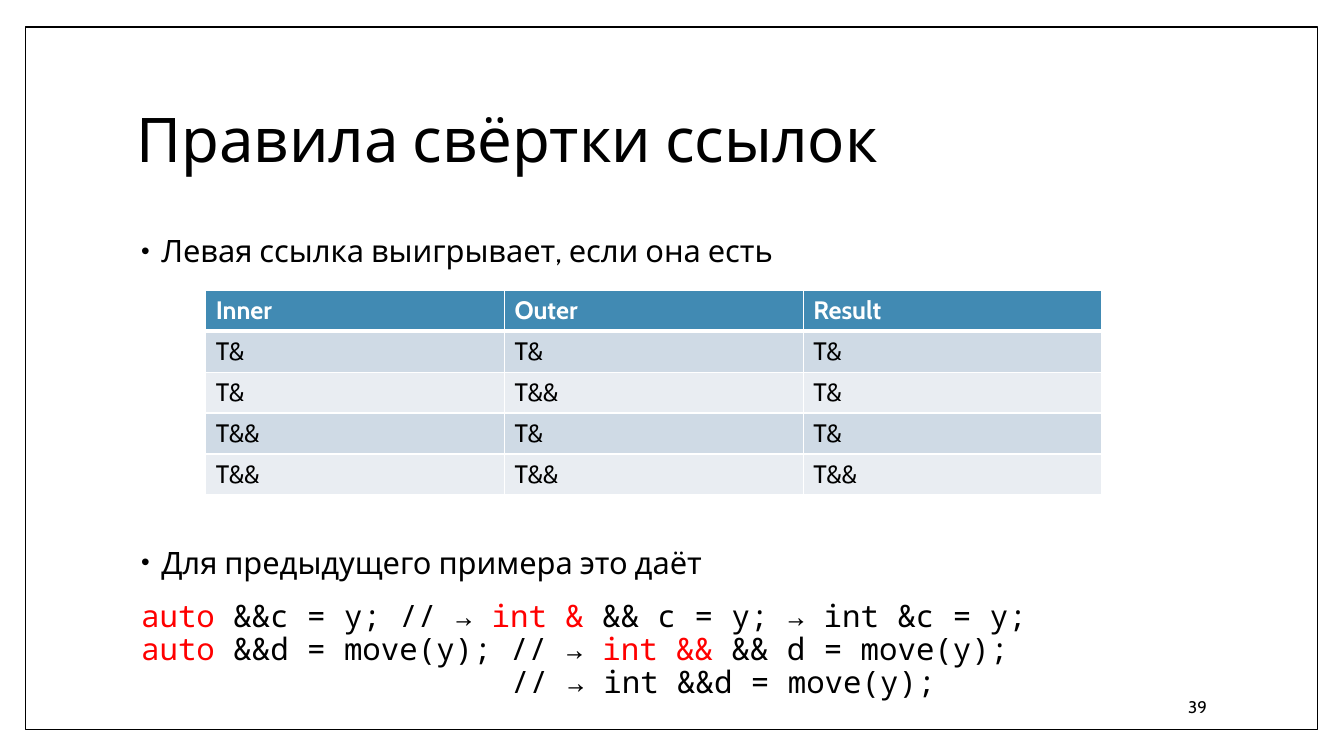
from dataclasses import dataclass

from lxml.etree import SubElement
from pptx import Presentation
from pptx.dml.color import RGBColor
from pptx.enum.shapes import MSO_SHAPE as SHAPE
from pptx.enum.text import MSO_ANCHOR as ANCHOR, MSO_AUTO_SIZE as AUTO, PP_ALIGN as ALIGN
from pptx.oxml.ns import qn
from pptx.util import Inches, Pt


@dataclass(frozen=True)
class Theme:
    font: str = "Cabin"
    mono: str = "Noto Sans Mono"
    black: str = "000000"
    white: str = "FFFFFF"
    accent: str = "FF0000"
    header: str = "418AB3"
    bands: tuple = ("CFDAE5", "E9EDF2")
    title: int = 44
    body: int = 22
    cell: int = 18
    small: int = 12
    leading: float = 0.9
    gap: int = 14


class Deck:
    def __init__(self, theme):
        self.t = theme
        self.prs = Presentation()
        self.prs.slide_width, self.prs.slide_height = Inches(13.33), Inches(7.5)
        self.s = self.prs.slides.add_slide(self.prs.slide_layouts[1])

    def run(self, p, text, size, color=None, font=None, bold=False):
        r = p.add_run()
        r.text = text
        f = r.font
        f.name, f.size, f.bold = font or self.t.font, Pt(size), bold
        f.color.rgb = RGBColor.from_string(color or self.t.black)

    def place(self, sp, box, anchor):
        sp.left, sp.top, sp.width, sp.height = map(Inches, box)
        tf = sp.text_frame
        tf.word_wrap, tf.auto_size, tf.vertical_anchor = True, AUTO.NONE, anchor
        return tf

    def frame(self, *box):
        sp = self.s.shapes.add_shape(SHAPE.RECTANGLE, *map(Inches, box))
        sp.shadow.inherit = False
        sp.fill.solid()
        sp.fill.fore_color.rgb = RGBColor.from_string(self.t.white)
        sp.line.color.rgb = RGBColor.from_string(self.t.black)
        sp.line.width = Pt(1)
        sp.element.getparent().insert(2, sp.element)

    def title(self, text, *box):
        p = self.place(self.s.shapes.title, box, ANCHOR.MIDDLE).paragraphs[0]
        p.alignment, p.line_spacing = ALIGN.LEFT, self.t.leading
        self.run(p, text, self.t.title)

    def body(self, *box):
        return self.place(self.s.placeholders[1], box, ANCHOR.TOP)

    def paragraph(self, tf, before, left, indent):
        p = tf.paragraphs[0] if not tf.paragraphs[0].runs else tf.add_paragraph()
        p.alignment, p.line_spacing = ALIGN.LEFT, self.t.leading
        p.space_before, p.space_after = Pt(before), Pt(0)
        pPr = p._p.get_or_add_pPr()
        pPr.set("marL", str(Inches(left)))
        pPr.set("indent", str(Inches(indent)))
        return p, pPr

    def bullet(self, tf, text, before):
        p, pPr = self.paragraph(tf, before, 0.25, -0.2)
        color = SubElement(pPr, qn("a:buClr"))
        SubElement(color, qn("a:srgbClr"), val=self.t.black)
        SubElement(pPr, qn("a:buSzPct"), val="80000")
        SubElement(pPr, qn("a:buFont"), typeface="Arial")
        SubElement(pPr, qn("a:buChar"), char="•")
        self.run(p, text, self.t.body)

    def code(self, tf, lines, before, left=0.05):
        p, pPr = self.paragraph(tf, before, left, 0)
        SubElement(pPr, qn("a:buNone"))
        for i, line in enumerate(lines):
            if i:
                p.add_line_break()
            for text, color in line:
                self.run(p, text, self.t.body, color, self.t.mono)

    def border(self, cell, side, width):
        tcPr = cell._tc.get_or_add_tcPr()
        ln = SubElement(tcPr, qn(f"a:ln{side}"), w=str(Pt(width)))
        fill = SubElement(ln, qn("a:solidFill"))
        SubElement(fill, qn("a:srgbClr"), val=self.t.white)

    def table(self, rows, *box):
        tbl = self.s.shapes.add_table(len(rows), len(rows[0]), *map(Inches, box)).table
        for i, row in enumerate(rows):
            head = i == 0
            fill = self.t.header if head else self.t.bands[(i - 1) % 2]
            for j, text in enumerate(row):
                cell = tbl.cell(i, j)
                for side in "LRTB":
                    thick = (head and side == "B") or (i == 1 and side == "T")
                    self.border(cell, side, 3 if thick else 1)
                cell.fill.solid()
                cell.fill.fore_color.rgb = RGBColor.from_string(fill)
                color = self.t.white if head else self.t.black
                self.run(cell.text_frame.paragraphs[0], text, self.t.cell, color, bold=head)

    def number(self, text, *box):
        sp = self.s.shapes.add_textbox(*map(Inches, box))
        p = self.place(sp, box, ANCHOR.MIDDLE).paragraphs[0]
        p.alignment = ALIGN.RIGHT
        self.run(p, text, self.t.small)


theme = Theme()
deck = Deck(theme)
deck.frame(0.25, 0.27, 12.82, 6.97)
deck.title("Правила свёртки ссылок", 1.25, 0.67, 10.8, 1.48)

red, black = theme.accent, theme.black
tf = deck.body(1.25, 2.29, 11.27, 4.42)
deck.bullet(tf, "Левая ссылка выигрывает, если она есть", theme.gap)
deck.bullet(tf, "Для предыдущего примера это даёт", 199)
deck.code(tf, [
    [("auto", red), (" &&c = y; // → ", black), ("int & ", red),
     ("&& c = y; → int &c = y;", black)],
    [("auto", red), (" &&d = move(y); // → ", black), ("int && ", red),
     ("&& d = move(y);", black)],
], theme.gap)
deck.code(tf, [[("// → int &&d = move(y);", black)]], 0, left=3.72)

deck.table([
    ("Inner", "Outer", "Result"),
    ("T&", "T&", "T&"),
    ("T&", "T&&", "T&"),
    ("T&&", "T&", "T&"),
    ("T&&", "T&&", "T&&"),
], 2.04, 2.88, 8.89, 2.03)
deck.number("39", 10.2, 6.81, 1.87, 0.4)
deck.prs.save("out.pptx")
